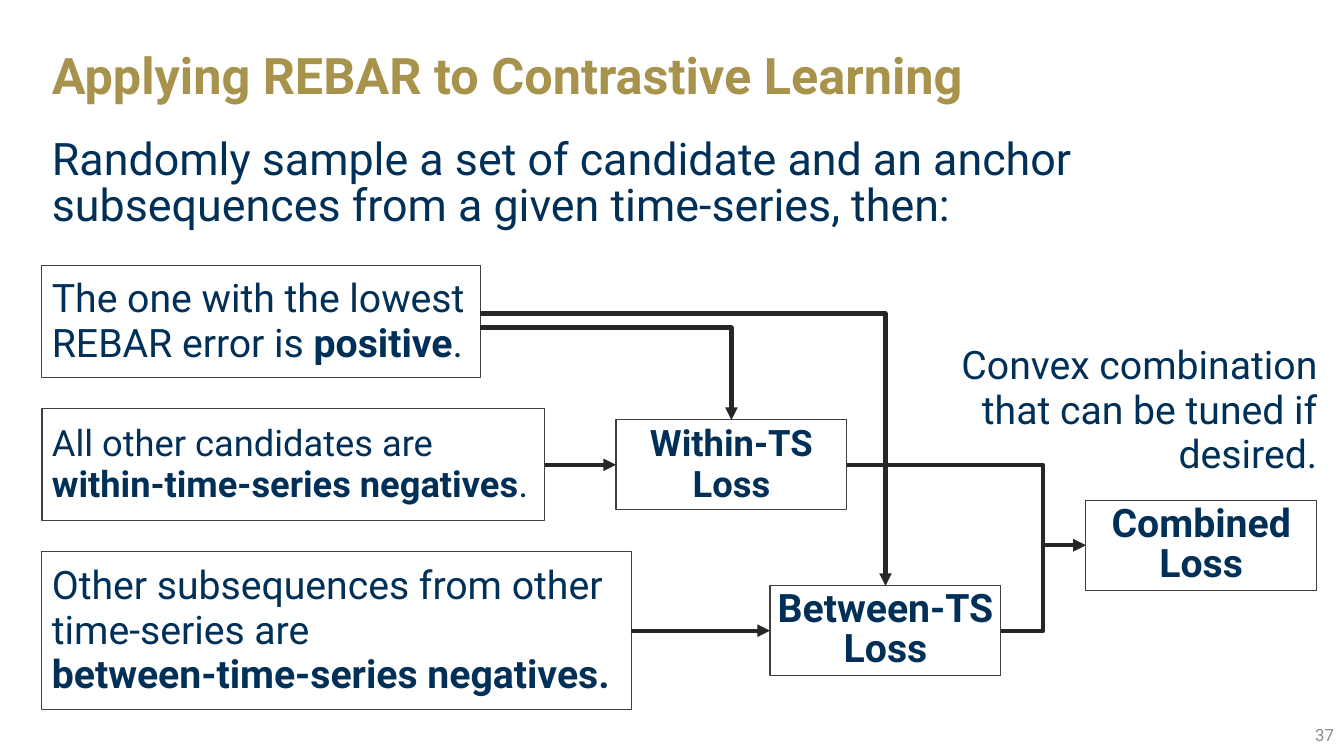
from lxml import etree
from pptx import Presentation
from pptx.dml.color import RGBColor
from pptx.enum.shapes import MSO_CONNECTOR, MSO_SHAPE
from pptx.enum.text import MSO_ANCHOR, PP_ALIGN
from pptx.oxml.ns import qn
from pptx.util import Pt

GOLD = RGBColor(0xA7, 0x93, 0x4B)
NAVY = RGBColor(0x00, 0x30, 0x57)
GRAY = RGBColor(0x8C, 0x8C, 0x8C)
WHITE = RGBColor(0xFF, 0xFF, 0xFF)
BORDER = RGBColor(0x40, 0x40, 0x40)
ARROW = RGBColor(0x26, 0x26, 0x26)
FONT = "Roboto"
RECT = MSO_SHAPE.RECTANGLE
STRAIGHT, ELBOW = MSO_CONNECTOR.STRAIGHT, MSO_CONNECTOR.ELBOW
LEFT, CENTER, RIGHT = PP_ALIGN.LEFT, PP_ALIGN.CENTER, PP_ALIGN.RIGHT
TOP, MIDDLE = MSO_ANCHOR.TOP, MSO_ANCHOR.MIDDLE
TOP_SIDE, LEFT_SIDE, RIGHT_SIDE = 0, 1, 3  # connection sites of a rectangle
LOSS_SIZE = (165, 64)


def write(shape, *paragraphs, size=28, color=NAVY, bold=False, align=LEFT,
          anchor=TOP, spacing=0.95):
    """Each paragraph is a string whose parts between ** are bold; \\v breaks a line."""
    frame = shape.text_frame
    frame.word_wrap = True
    frame.vertical_anchor = anchor
    for index, text in enumerate(paragraphs):
        paragraph = frame.add_paragraph() if index else frame.paragraphs[0]
        paragraph.alignment = align
        paragraph.line_spacing = spacing
        for part, words in enumerate(text.split("**")):
            for row, piece in enumerate(words.split("\v")):
                if row:
                    paragraph.add_line_break()
                if not piece:
                    continue
                run = paragraph.add_run()
                run.text = piece
                run.font.name = FONT
                run.font.size = Pt(size)
                run.font.bold = bold or part % 2 == 1
                run.font.color.rgb = color


def add_text(slide, place, *paragraphs, **style):
    box = slide.shapes.add_textbox(*map(Pt, place))
    write(box, *paragraphs, **style)


def add_box(slide, place, *paragraphs, inset=0, **style):
    """White bordered rectangle, its text centred vertically."""
    box = slide.shapes.add_shape(RECT, *map(Pt, place))
    box.shadow.inherit = False
    box.fill.solid()
    box.fill.fore_color.rgb = WHITE
    box.line.color.rgb = BORDER
    box.line.width = Pt(0.75)
    frame = box.text_frame
    frame.margin_left = Pt(inset)
    frame.margin_right = frame.margin_top = frame.margin_bottom = 0
    write(box, *paragraphs, anchor=MIDDLE, **style)
    return box


def add_loss(slide, left, top, text, **style):
    return add_box(slide, (left, top, *LOSS_SIZE), text, bold=True, align=CENTER, **style)


def add_arrow(slide, kind, target, side, source=None, start=(0, 0), bend=None):
    """Arrow from the right of source, or from a free start, to a side of target."""
    arrow = slide.shapes.add_connector(kind, *map(Pt, start), 0, 0)
    if source is not None:
        arrow.begin_connect(source, RIGHT_SIDE)
    arrow.end_connect(target, side)
    arrow.line.color.rgb = ARROW
    arrow.line.width = Pt(3)
    properties = arrow.element.spPr
    etree.SubElement(properties.find(qn("a:ln")), qn("a:tailEnd"), type="triangle")
    etree.SubElement(properties, qn("a:effectLst"))
    geometry = properties.find(qn("a:prstGeom"))
    if kind == ELBOW and side == TOP_SIDE:
        geometry.set("prst", "bentConnector2")
    if bend is not None:
        guides = geometry.find(qn("a:avLst"))
        if guides is None:
            guides = etree.SubElement(geometry, qn("a:avLst"))
        etree.SubElement(guides, qn("a:gd"), name="adj1",
                         fmla=f"val {round(bend * 100000)}")


def main():
    prs = Presentation()
    prs.slide_width, prs.slide_height = Pt(960), Pt(540)
    slide = prs.slides.add_slide(prs.slide_layouts[6])

    # Heading, page number and introduction
    add_text(slide, (30, 16, 900, 80), "Applying REBAR to Contrastive Learning",
             size=36, color=GOLD, bold=True, anchor=MIDDLE, spacing=0.9)
    add_text(slide, (744, 510, 216, 29), "37", size=12, color=GRAY,
             align=RIGHT, anchor=MIDDLE, spacing=1.0)
    add_text(slide, (30, 96, 878, 80),
             "Randomly sample a set of candidate and an anchor subsequences "
             "from a given time-series, then:", size=32, spacing=0.85)

    # Roles of the sampled subsequences
    add_box(slide, (30, 190, 313, 80),
            "The one with the lowest REBAR error is **positive**.", inset=7.2)
    within_negatives = add_box(
        slide, (30, 292, 359, 80),
        "All other candidates are\v**within-time-series negatives**.",
        inset=7.2, size=25.9)
    between_negatives = add_box(
        slide, (30, 394, 421, 113),
        "Other subsequences from other time-series are",
        "**between-time-series negatives.**", inset=7.2)

    # Losses
    within_loss = add_loss(slide, 440, 300, "Within-TS Loss", size=26)
    between_loss = add_loss(slide, 550, 418.5, "Between-TS Loss", spacing=0.85)
    combined_loss = add_loss(slide, 775.5, 357.5, "Combined Loss", spacing=0.85)

    # Negatives and the positive feed the two losses
    add_arrow(slide, STRAIGHT, within_loss, LEFT_SIDE, source=within_negatives)
    add_arrow(slide, STRAIGHT, between_loss, LEFT_SIDE, source=between_negatives)
    add_arrow(slide, ELBOW, between_loss, TOP_SIDE, start=(343, 224))
    add_arrow(slide, ELBOW, within_loss, TOP_SIDE, start=(343, 234))

    # The two losses merge
    add_arrow(slide, ELBOW, combined_loss, LEFT_SIDE, source=between_loss, bend=0.5)
    add_arrow(slide, ELBOW, combined_loss, LEFT_SIDE, source=within_loss, bend=0.82)
    add_text(slide, (648, 242, 300, 80),
             "Convex combination that can be tuned if desired.", align=RIGHT)

    prs.save("out.pptx")


if __name__ == "__main__":
    main()
